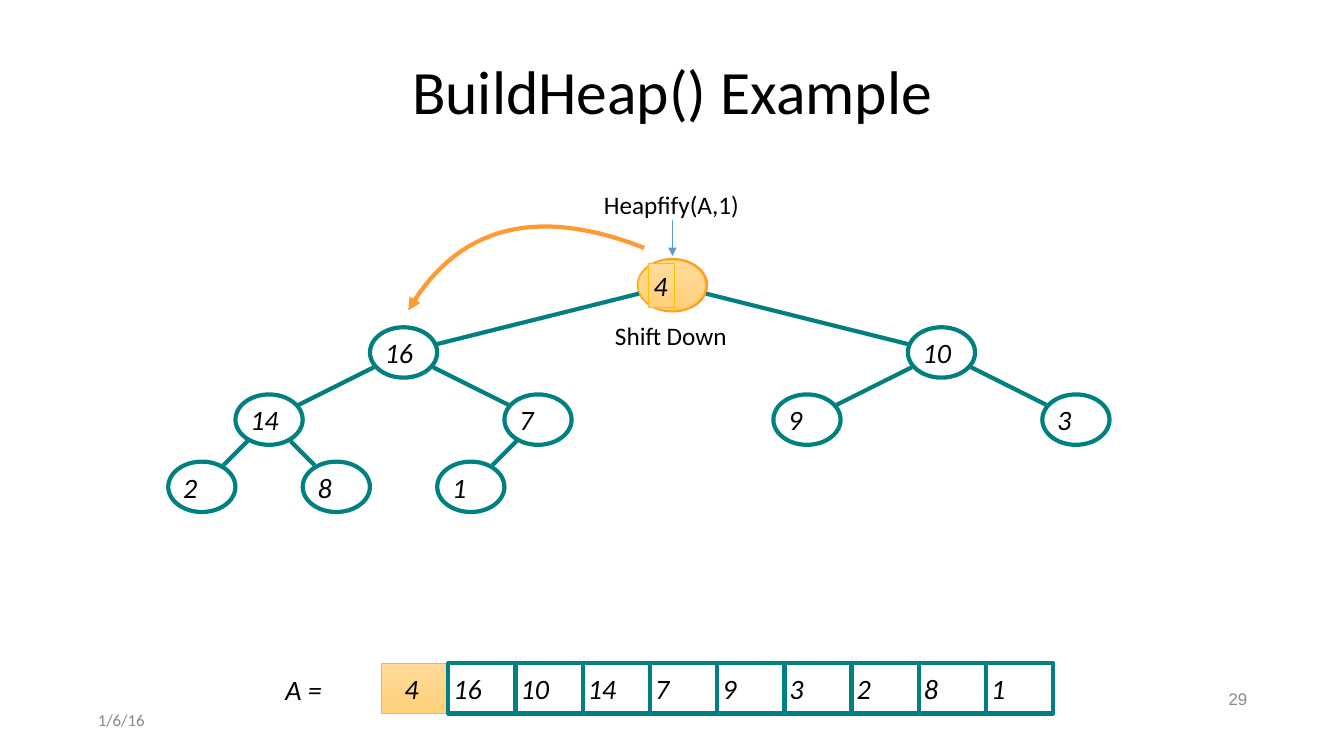
import math
from lxml import etree
from pptx import Presentation
from pptx.dml import color
from pptx.enum import shapes, text
from pptx.oxml import ns
from pptx.util import Inches, Pt

TEAL, ORANGE, AMBER, WHITE = "008080", "FF9933", "FFC000", "FFFFFF"


def rgb(value):
    return color.RGBColor.from_string(value)


def write(frame, content, size=20, font="Calibri", ink="000000", italic=False,
          align=text.PP_ALIGN.LEFT, anchor=text.MSO_ANCHOR.MIDDLE, wrap=True,
          spacing=1.0, indent=0.05):
    frame.word_wrap = wrap
    frame.vertical_anchor = anchor
    frame.margin_left = Inches(indent)
    frame.margin_right = frame.margin_top = frame.margin_bottom = Inches(0.05)
    line = frame.paragraphs[0]
    line.alignment = align
    line.line_spacing = spacing
    run = line.add_run()
    run.text = content
    run.font.size = Pt(size)
    run.font.name = font
    run.font.italic = italic
    run.font.color.rgb = rgb(ink)


deck = Presentation()
deck.slide_width, deck.slide_height = Inches(13.33), Inches(7.5)
slide = deck.slides.add_slide(deck.slide_layouts[5])

title = slide.shapes.title
title.left, title.top = Inches(0.92), Inches(0.4)
title.width, title.height = Inches(11.5), Inches(1.07)
write(title.text_frame, "BuildHeap() Example", size=44,
      align=text.PP_ALIGN.CENTER, spacing=0.9)

heap = [4, 16, 10, 14, 7, 9, 3, 2, 8, 1]
STEP, HEIGHT = 2 / 3, 0.5
OVAL, BOX = shapes.MSO_SHAPE.OVAL, shapes.MSO_SHAPE.RECTANGLE

centers = []
for index in range(len(heap)):
    level = int(math.log2(index + 1))
    place = index + 1 - 2 ** level
    centers.append((1.335 + 10.67 * (place + 0.5) / 2 ** level, 2.83 + level * STEP))

outlines = []
for index, (value, (x, y)) in enumerate(zip(heap, centers)):
    label, edge = (value, TEAL) if index else ("", ORANGE)
    outlines.append((OVAL, x - STEP / 2, y - HEIGHT / 2, STEP, HEIGHT, label, WHITE, edge, 0.05))
for index, value in enumerate(heap):
    paint, edge, indent = (WHITE, TEAL, 0.05) if index else (AMBER, AMBER, 0.23)
    outlines.append((BOX, 3.78 + index * STEP, 6.58, STEP, HEIGHT, value, paint, edge, indent))
outlines += [
    (OVAL, 6.33, 2.58, STEP, HEIGHT, "", AMBER, AMBER, 0.05),
    (BOX, 6.43, 2.61, 0.26, 0.44, heap[0], AMBER, AMBER, 0.05),
]

for kind, left, top, width, height, label, paint, edge, indent in outlines:
    cell = slide.shapes.add_shape(kind, Inches(left), Inches(top), Inches(width), Inches(height))
    cell.shadow.inherit = False
    if paint == AMBER:
        cell.fill.gradient()
        cell.fill.gradient_angle = 270
        for stop, tone in zip(cell.fill.gradient_stops, ("FFDB9B", "FFD078")):
            stop.color.rgb = rgb(tone)
    else:
        cell.fill.solid()
        cell.fill.fore_color.rgb = rgb(paint)
    cell.line.color.rgb = rgb(edge)
    cell.line.width = Pt(0.5 if edge == AMBER else 3)
    if label != "":
        write(cell.text_frame, str(label), italic=True, indent=indent)

strokes = [(6.67, 2.18, 6.67, 2.54, "5B9BD5", 1)]
for child in range(1, len(heap)):
    (x1, y1), (x2, y2) = centers[(child - 1) // 2], centers[child]
    dx, dy = x2 - x1, y2 - y1
    trim = 1 / math.hypot(dx / 0.35, dy / 0.27)
    strokes.append((x1 + trim * dx, y1 + trim * dy, x2 - trim * dx, y2 - trim * dy, TEAL, 3))

for x1, y1, x2, y2, ink, weight in strokes:
    branch = slide.shapes.add_connector(
        shapes.MSO_CONNECTOR.STRAIGHT, Inches(x1), Inches(y1), Inches(x2), Inches(y2))
    branch.line.color.rgb = rgb(ink)
    branch.line.width = Pt(weight)
    if ink != TEAL:
        etree.SubElement(branch.line._get_or_add_ln(), ns.qn("a:tailEnd"), type="triangle")
    etree.SubElement(branch._element.spPr, ns.qn("a:effectLst"))

bend = [(4.05, 3.08), (4.54, 2.24), (5.32, 2.04), (6.39, 2.46)]
points = []
for tick in range(41):
    t = tick / 40
    weights = [math.comb(3, k) * t ** k * (1 - t) ** (3 - k) for k in range(4)]
    points.append(tuple(Inches(sum(w * p[axis] for w, p in zip(weights, bend))) for axis in (0, 1)))
builder = slide.shapes.build_freeform(*points[0])
builder.add_line_segments(points[1:], close=False)
swap = builder.convert_to_shape()
swap.shadow.inherit = False
swap.fill.background()
swap.line.color.rgb = rgb(ORANGE)
swap.line.width = Pt(3)
etree.SubElement(swap.line._get_or_add_ln(), ns.qn("a:headEnd"), type="triangle")

call = dict(size=18, wrap=False, anchor=text.MSO_ANCHOR.TOP)
captions = [
    ("Heapfify(A,1)", 5.94, 1.83, 1.45, 0.41, call),
    ("Shift Down", 6.05, 3.13, 1.23, 0.41, call),
    ("A =", 2.78, 6.62, 0.48, 0.43, dict(italic=True, wrap=False)),
    ("1/6/16", 0.92, 7, 3, 0.29, dict(size=12, ink="888888")),
    ("29", 9.42, 6.8, 3, 0.29, dict(size=12, ink="888888", font="Arial",
                                   align=text.PP_ALIGN.RIGHT, spacing=0.9)),
]
for content, left, top, width, height, style in captions:
    caption = slide.shapes.add_textbox(Inches(left), Inches(top), Inches(width), Inches(height))
    write(caption.text_frame, content, **style)

deck.save("out.pptx")
